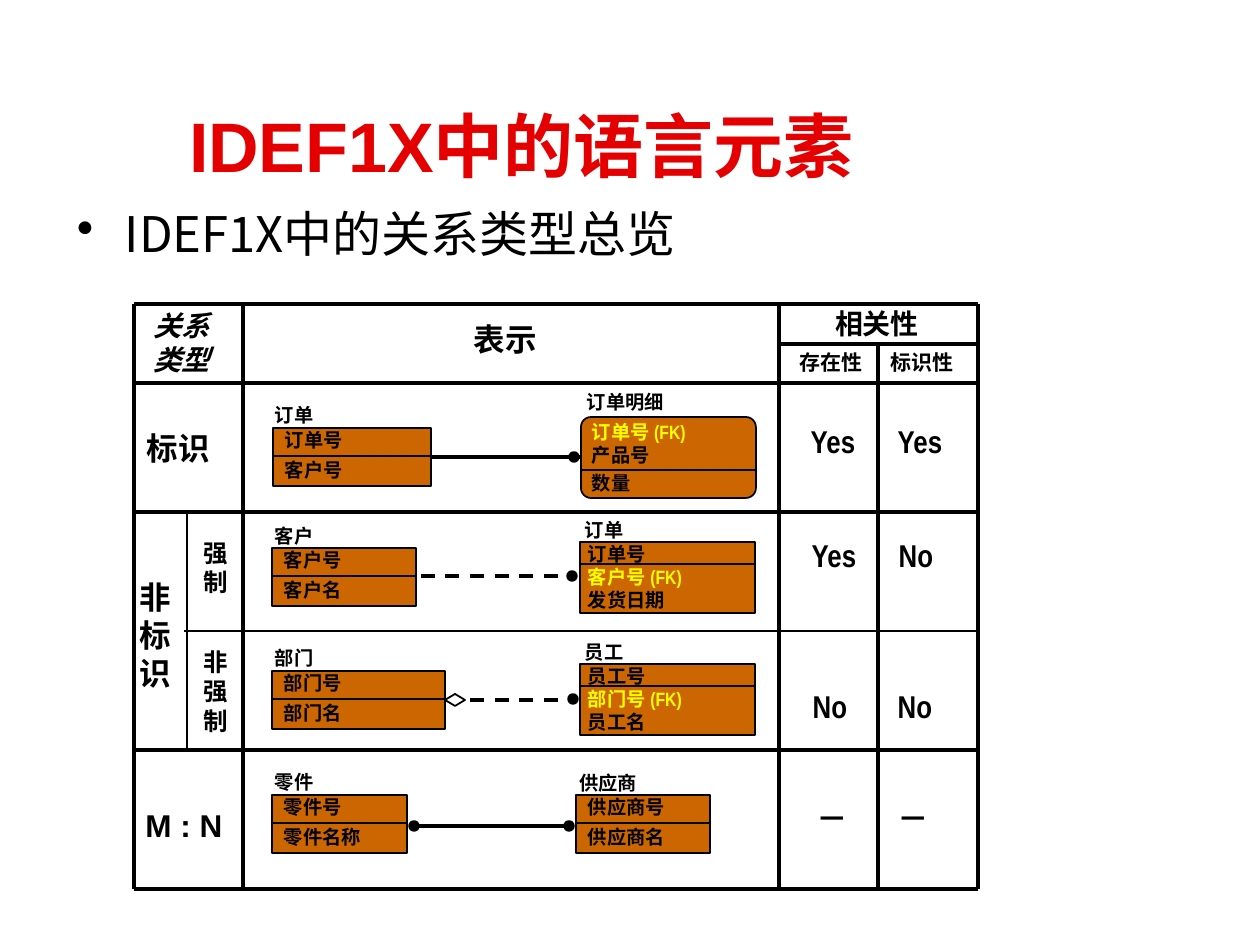
import pptx
import pptx.util
import pptx.dml.color
import pptx.enum.dml
import pptx.enum.shapes
import pptx.enum.text
import lxml.etree
from dataclasses import dataclass


@dataclass(frozen=True)
class Theme:
    red: str = "E40000"
    black: str = "000000"
    white: str = "FFFFFF"
    orange: str = "CC6600"
    yellow: str = "FFFF00"
    sans: str = "Arial"
    narrow: str = "Arial Narrow"
    cjk: str = "Noto Sans CJK SC"
    title: int = 40
    body: int = 28
    large: int = 18
    medium: int = 16
    side: int = 14
    small: int = 12
    tiny: int = 11
    hair: float = 0.75
    thin: int = 1
    link: int = 2
    grid: float = 2.25


theme = Theme()
PX = 914400 / 126
rgb = pptx.dml.color.RGBColor.from_string
Shape = pptx.enum.shapes.MSO_SHAPE
Align = pptx.enum.text.PP_ALIGN
Anchor = pptx.enum.text.MSO_ANCHOR

deck = pptx.Presentation()
deck.slide_width = pptx.util.Inches(10)
deck.slide_height = pptx.util.Inches(7.5)
slide = deck.slides.add_slide(deck.slide_layouts[6])


def write(text, box, shape=None, size=theme.large, font=theme.sans, color=theme.black,
          bold=True, italic=False, align=Align.LEFT, anchor=Anchor.TOP,
          inset=(0, 0), last_gap=0):
    """Put text in a shape or a new text box; foreign keys turn yellow."""
    box = [round(n * PX) for n in box]
    shape = shape or slide.shapes.add_textbox(*box)
    frame = shape.text_frame
    frame.word_wrap = True
    frame.vertical_anchor = anchor
    frame.margin_left = frame.margin_right = round(inset[0] * PX)
    frame.margin_top = frame.margin_bottom = round(inset[1] * PX)
    frame.text = text
    for paragraph in frame.paragraphs:
        paragraph.alignment = align
        run = paragraph.runs[0]
        run.font.size = pptx.util.Pt(size)
        run.font.name = font
        run.font.bold = bold
        run.font.italic = italic
        run.font.color.rgb = rgb(theme.yellow if "(FK)" in run.text else color)
        east_asian = lxml.etree.SubElement(run.font._element, pptx.oxml.ns.qn("a:ea"))
        east_asian.set("typeface", theme.cjk)
    if last_gap:
        paragraph.space_before = pptx.util.Pt(last_gap)
    return frame


def draw(kind, box, fill=None, width=theme.thin, dashed=False):
    """Add a preset shape, or a line when kind is None and box holds its two ends."""
    box = [round(n * PX) for n in box]
    if kind is None:
        item = slide.shapes.add_connector(pptx.enum.shapes.MSO_CONNECTOR.STRAIGHT, *box)
        lxml.etree.SubElement(item._element.spPr, pptx.oxml.ns.qn("a:effectLst"))
    else:
        item = slide.shapes.add_shape(kind, *box)
        item.shadow.inherit = False
        item.fill.solid()
        item.fill.fore_color.rgb = rgb(fill)
    item.line.color.rgb = rgb(theme.black)
    item.line.width = pptx.util.Pt(width)
    if dashed:
        item.line.dash_style = pptx.enum.dml.MSO_LINE.DASH
    return item


write("IDEF1X中的语言元素", (176, 94, 977, 101), size=theme.title, color=theme.red,
      anchor=Anchor.MIDDLE, inset=(13, 6))
overview = write("IDEF1X中的关系类型总览", (64, 204, 1134, 73), size=theme.body,
                 font=theme.cjk, bold=False, inset=(13, 6)).paragraphs[0]
overview.line_spacing = 0.9
overview.space_before = pptx.util.Pt(7)
indent = overview._p.get_or_add_pPr()
indent.set("marL", str(round(48 * PX)))
indent.set("indent", str(round(-48 * PX)))
lxml.etree.SubElement(indent, pptx.oxml.ns.qn("a:buChar")).set("char", "•")

# Relationship links, covered at their ends by the entities
for x1, x2, y, dashed in [(403, 584, 457, False), (396, 574, 576, True),
                          (396, 576, 700, True), (412, 572, 826, False)]:
    draw(None, (x1, y, x2, y), width=theme.link, dashed=dashed)

# Entities: name, name position, box, key divider offset, attributes, inset, last gap
entities = [
    ("订单", 263, 397, (273, 428, 158, 58), 28, "订单号\n客户号", 12, 4.1),
    ("订单明细", 575, 384, (581, 417, 175, 81), 53, "订单号 (FK)\n产品号\n数量", 8, 2.8),
    ("客户", 263, 518, (272, 548, 144, 58), 28, "客户号\n客户名", 12, 4.1),
    ("订单", 573, 512, (580, 542, 175, 71), 22, "订单号\n客户号 (FK)\n发货日期", 8, 0),
    ("部门", 263, 640, (272, 671, 173, 58), 28, "部门号\n部门名", 12, 4.1),
    ("员工", 573, 634, (580, 664, 175, 71), 22, "员工号\n部门号 (FK)\n员工名", 8, 0),
    ("零件", 263, 764, (272, 795, 135, 58), 28, "零件号\n零件名称", 12, 4.1),
    ("供应商", 567, 765, (576, 795, 134, 58), 28, "供应商号\n供应商名", 12, 4.1),
]
for name, name_x, name_y, box, divider, attributes, inset, last_gap in entities:
    left, top, width, height = box
    dependent = name == "订单明细"
    entity = draw(Shape.ROUNDED_RECTANGLE if dependent else Shape.RECTANGLE, box, theme.orange)
    if dependent:
        entity.adjustments[0] = 0.125
    write(attributes, box, shape=entity, size=theme.tiny, font=theme.narrow,
          inset=(inset, 0), last_gap=last_gap)
    draw(None, (left, top + divider, left + width, top + divider))
    write(name, (name_x, name_y, 20 * len(name) + 24, 34), size=theme.tiny,
          font=theme.narrow, inset=(12, 6))

for x, y in [(574, 457), (572, 576), (573, 699), (414, 826), (569, 826)]:
    draw(Shape.OVAL, (x - 4, y - 4, 8, 8), theme.black, theme.link)
draw(Shape.DIAMOND, (445, 694, 20, 12), theme.white)

# Table rules
left, right, top, bottom = 134, 978, 304, 889
for y, start, width in [(top, left, theme.link), (344, 779, theme.link),
                        (383, left, theme.link), (512, left, theme.grid),
                        (631, 184, theme.hair), (750, left, theme.grid),
                        (bottom, left, theme.link)]:
    draw(None, (start, y, right, y), width=width)
for x, start, end, width in [(left, top, bottom, theme.grid), (187, 512, 750, theme.hair),
                             (243, top, bottom, theme.grid), (779, top, bottom, theme.grid),
                             (878, 344, bottom, theme.link), (right, top, bottom, theme.grid)]:
    draw(None, (x, start, x, end), width=width)

# Row and column headings
write("关系类型", (154, 309, 69, 67), size=theme.medium, italic=True)
write("表示", (461, 314, 100, 50), inset=(13, 6))
write("标识", (134, 423, 100, 50), inset=(13, 6))
write("非标识", (140, 572, 32, 126), inset=(0, 6))
write("M : N", (134, 800, 100, 50), align=Align.CENTER, inset=(0, 6))
for strength, y, height in [("强制", 532, 70), ("非强制", 641, 100)]:
    write(strength, (196, y, 40, height), size=theme.side, font=theme.narrow,
          align=Align.CENTER, inset=(0, 6))

# Dependency cells, by centre
dependency_cells = [("相关性", 877, 323, theme.medium),
                    ("存在性", 831, 362, theme.small), ("标识性", 922, 362, theme.small),
                    ("Yes", 833, 441, theme.large), ("Yes", 920, 441, theme.large),
                    ("Yes", 834, 555, theme.large), ("No", 916, 555, theme.large),
                    ("No", 830, 706, theme.large), ("No", 915, 706, theme.large),
                    ("－", 832, 818, theme.large), ("－", 913, 818, theme.large)]
for text, x, y, size in dependency_cells:
    write(text, (x - 45, y - 19, 90, 38), size=size, font=theme.narrow,
          align=Align.CENTER, anchor=Anchor.MIDDLE)

deck.save("out.pptx")
